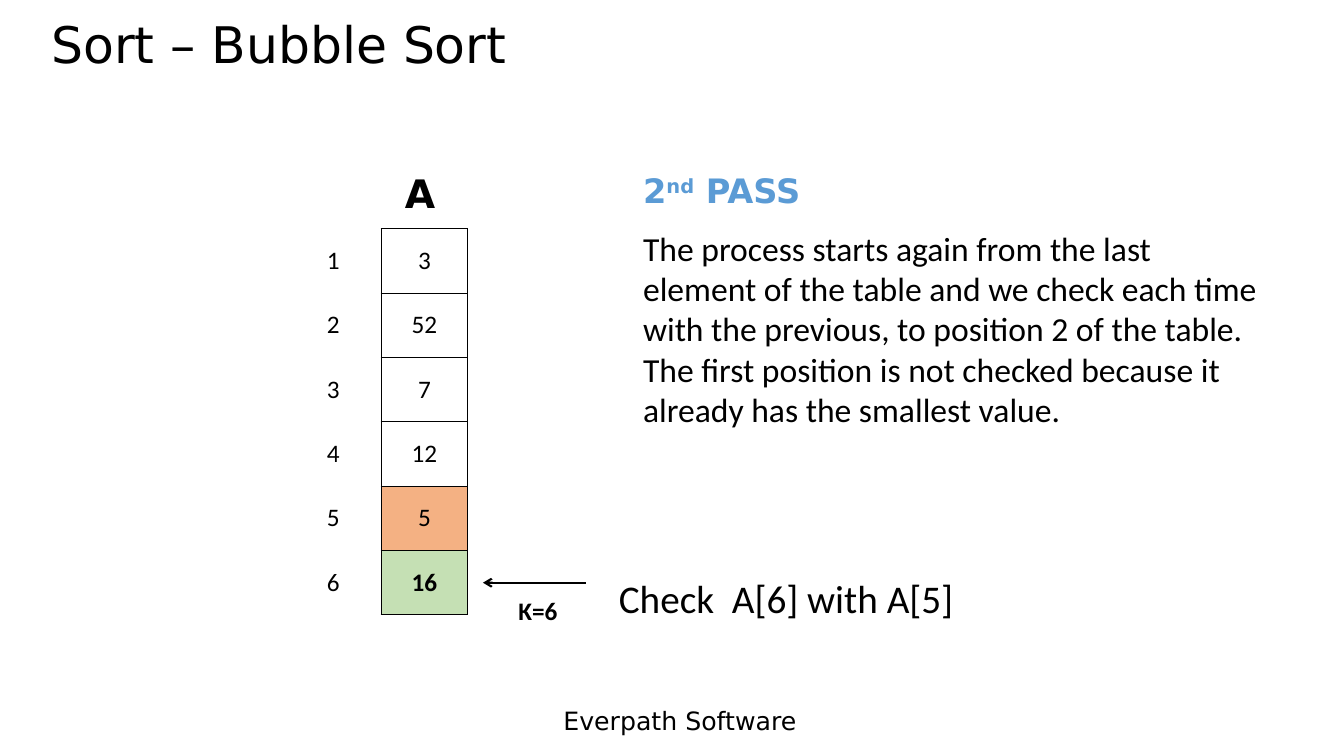
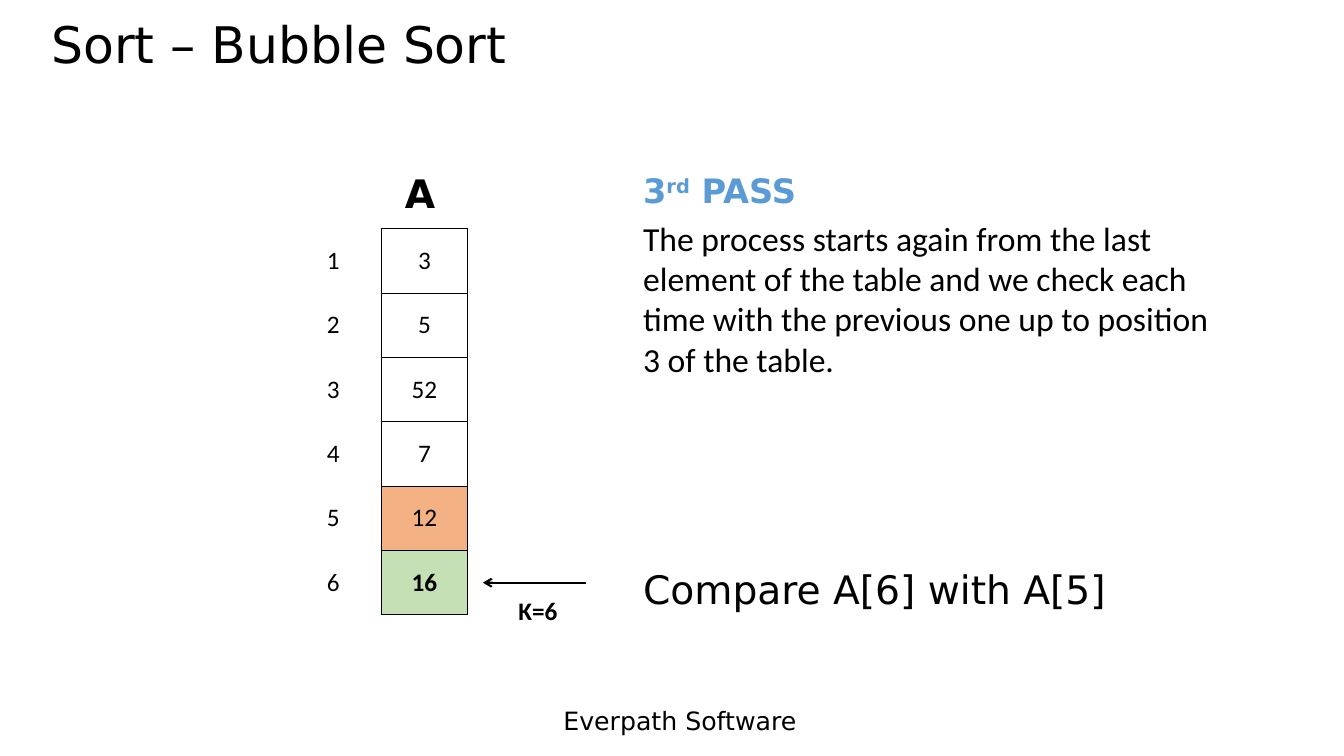
from dataclasses import dataclass

from lxml import etree
from pptx import Presentation
from pptx.dml.color import RGBColor
from pptx.enum.shapes import MSO_CONNECTOR
from pptx.enum.text import MSO_ANCHOR, PP_ALIGN
from pptx.oxml.ns import qn
from pptx.util import Inches, Pt

LEFT, CENTER = PP_ALIGN.LEFT, PP_ALIGN.CENTER
TOP, MIDDLE = MSO_ANCHOR.TOP, MSO_ANCHOR.MIDDLE
STRAIGHT = MSO_CONNECTOR.STRAIGHT


@dataclass(frozen=True)
class Theme:
    ink: str = "000000"
    accent: str = "5B9BD5"
    compared: str = "F4B183"
    current: str = "C5E0B4"
    heading_font: str = "DejaVu Sans"
    body_font: str = "Calibri"
    title_size: int = 36
    label_size: int = 28
    body_size: int = 24
    small_size: int = 18
    border: float = 1
    arrow: float = 1.5


@dataclass(frozen=True)
class Box:
    left: float
    top: float
    width: float
    height: float

    def lengths(self):
        return [Inches(n) for n in (self.left, self.top, self.width, self.height)]


@dataclass(frozen=True)
class SortPass:
    heading: str  # text between carets is raised
    values: tuple
    explanation: str
    explanation_box: Box
    check: str
    check_box: Box
    check_font: str


THEME = Theme()
TITLE_BOX = Box(0.41, 0.15, 12.01, 0.95)
FOOTER_BOX = Box(5.49, 6.95, 2.9, 0.4)
HEADING_BOX = Box(6.28, 1.64, 5.16, 0.5)
ARRAY_BOX = Box(3.78, 2.27, 0.86, 3.83)

PASSES = (
    SortPass(
        "2^nd^ PASS",
        (3, 52, 7, 12, 5, 16),
        "The process starts again from the last element of the table and we check "
        "each time with the previous, to position 2 of the table. The first position "
        "is not checked because it already has the smallest value.",
        Box(6.28, 2.21, 6.33, 2.52),
        "Check  A[6] with A[5]",
        Box(6.04, 5.65, 5.16, 1.04),
        THEME.body_font,
    ),
    SortPass(
        "3^rd^ PASS",
        (3, 5, 52, 7, 12, 16),
        "The process starts again from the last element of the table and we check "
        "each time with the previous one up to position 3 of the table.",
        Box(6.28, 2.11, 5.95, 2.12),
        "Compare A[6] with A[5]",
        Box(6.28, 5.56, 5.16, 1.04),
        THEME.heading_font,
    ),
)


def write_text(frame, text, *, size, font=THEME.body_font, color=THEME.ink,
               bold=False, align=LEFT, line_spacing=None):
    """Fill a text frame; pieces between carets become superscript."""
    para = frame.paragraphs[0]
    para.alignment = align
    if line_spacing:
        para.line_spacing = line_spacing
    for index, piece in enumerate(text.split("^")):
        span = para.add_run()
        span.text = piece
        span.font.name = font
        span.font.size = Pt(size)
        span.font.bold = bold
        span.font.color.rgb = RGBColor.from_string(color)
        if index % 2:
            span._r.get_or_add_rPr().set("baseline", "30000")


def add_text(page, box, text, **text_format):
    frame = page.shapes.add_textbox(*box.lengths()).text_frame
    frame.word_wrap = True
    frame.vertical_anchor = TOP
    write_text(frame, text, **text_format)


def add_borders(cell):
    properties = cell._tc.get_or_add_tcPr()
    for side in ("a:lnL", "a:lnR", "a:lnT", "a:lnB"):
        line = etree.SubElement(properties, qn(side), w=str(Pt(THEME.border)))
        fill = etree.SubElement(line, qn("a:solidFill"))
        etree.SubElement(fill, qn("a:srgbClr"), val=THEME.ink)


def add_column(page, box, values, *, fills=None, bold_row=None, bordered=False):
    """Place a one-column table with equal rows."""
    fills = fills or {}
    table = page.shapes.add_table(len(values), 1, *box.lengths()).table
    table.first_row = table.horz_banding = False
    for row, value in enumerate(values):
        cell = table.cell(row, 0)
        cell.vertical_anchor = MIDDLE
        if bordered:
            add_borders(cell)
        if row in fills:
            cell.fill.solid()
            cell.fill.fore_color.rgb = RGBColor.from_string(fills[row])
        else:
            cell.fill.background()
        write_text(cell.text_frame, str(value), size=THEME.small_size,
                   bold=row == bold_row, align=CENTER)


def add_arrow(page, start, end):
    arrow = page.shapes.add_connector(STRAIGHT, *[Inches(n) for n in (*start, *end)])
    arrow.line.color.rgb = RGBColor.from_string(THEME.ink)
    arrow.line.width = Pt(THEME.arrow)
    etree.SubElement(arrow.line._get_or_add_ln(), qn("a:tailEnd"), type="arrow")
    etree.SubElement(arrow._element.spPr, qn("a:effectLst"))


def add_frame(page):
    """Title and footer shared by every slide."""
    add_text(page, TITLE_BOX, "Sort – Bubble Sort", size=THEME.title_size,
             font=THEME.heading_font, line_spacing=0.9)
    add_text(page, FOOTER_BOX, "Everpath Software", size=THEME.small_size,
             font=THEME.heading_font)


def add_array(page, box, values):
    """Array with its name, positions and pointer to the last element."""
    count = len(values)
    last = count - 1
    right = box.left + box.width
    pointer_y = box.top + box.height * (last + 0.5) / count

    # Name and cells
    add_text(page, Box(box.left - 0.24, box.top - 0.64, 1.25, 0.57), "A",
             size=THEME.label_size, font=THEME.heading_font, bold=True, align=CENTER)
    add_column(page, box, values, bold_row=last, bordered=True,
               fills={last - 1: THEME.compared, last: THEME.current})
    add_column(page, Box(box.left - 0.71, box.top, 0.47, box.height),
               range(1, count + 1))

    # Pointer
    add_arrow(page, (right + 1.17, pointer_y), (right + 0.15, pointer_y))
    add_text(page, Box(right + 0.15, pointer_y + 0.08, 1.09, 0.4), f"Κ={count}",
             size=THEME.small_size, bold=True, align=CENTER)


def add_pass_slide(deck, sort_pass):
    page = deck.slides.add_slide(deck.slide_layouts[6])
    add_frame(page)
    add_array(page, ARRAY_BOX, sort_pass.values)
    # Explanation
    add_text(page, HEADING_BOX, sort_pass.heading, size=THEME.body_size,
             font=THEME.heading_font, color=THEME.accent, bold=True)
    add_text(page, sort_pass.explanation_box, sort_pass.explanation,
             size=THEME.body_size)
    add_text(page, sort_pass.check_box, sort_pass.check,
             size=THEME.label_size, font=sort_pass.check_font)


def main():
    deck = Presentation()
    deck.slide_width, deck.slide_height = Inches(13.33), Inches(7.5)
    for sort_pass in PASSES:
        add_pass_slide(deck, sort_pass)
    deck.save("out.pptx")


if __name__ == "__main__":
    main()
